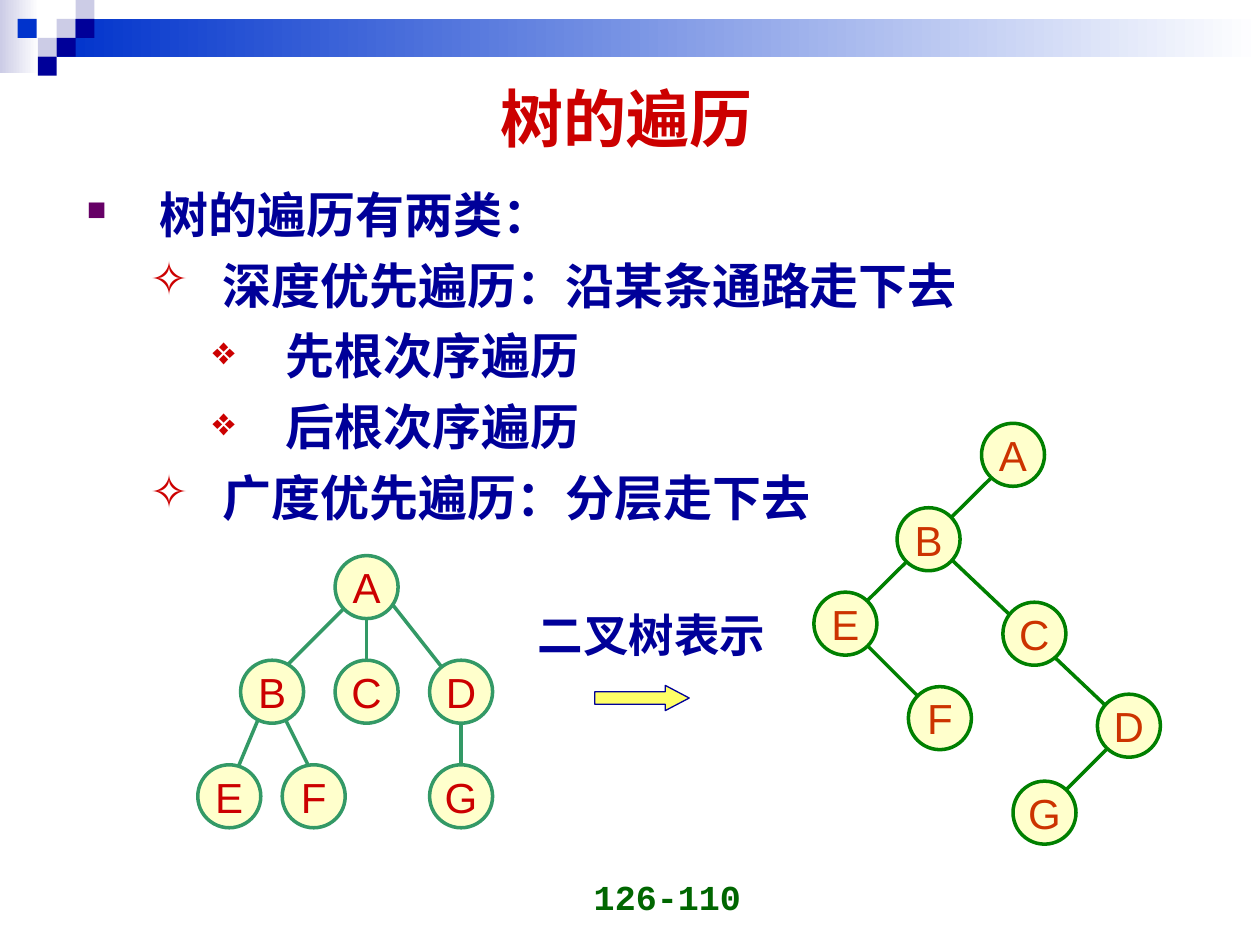
from lxml import etree
from pptx import Presentation
from pptx.dml.color import RGBColor
from pptx.enum import shapes, text
from pptx.oxml.ns import qn
from pptx.util import Inches, Pt

THEME = {
    "navy": "000099", "blue": "0033CC", "lilac": "CCCCE6", "white": "FFFFFF",
    "red": "CC0000", "purple": "660066", "page_green": "006600",
    "node": "FFFFCC", "arrow": "FFFF66",
    "sans": "Arial", "serif": "Times New Roman", "mono": "Courier New",
    "title": 36, "body": 28, "caption": 26, "label": 24, "page": 20,
}
NODE = 0.5
SQUARE = 0.15

# text, level, bullet, bullet colour, bullet size in percent
OUTLINE = [
    ("树的遍历有两类：", 0, "■", "purple", 55),
    ("深度优先遍历：沿某条通路走下去", 1, "✧", "red", 95),
    ("先根次序遍历", 2, "❖", "red", 80),
    ("后根次序遍历", 2, "❖", "red", 80),
    ("广度优先遍历：分层走下去", 1, "✧", "red", 95),
]
# left, top, colour
SQUARES = [
    (0.45, 0.15, "lilac"), (0.6, 0, "lilac"), (0.6, 0.15, "navy"),
    (0.3, 0.3, "lilac"), (0.14, 0.15, "blue"), (0.45, 0.3, "navy"),
    (0.3, 0.45, "navy"),
]
# nodes: left, top; edges: x1, y1, x2, y2
TREES = [
    {
        "line": "339966", "ink": "CC0000",
        "nodes": {"A": (2.66, 4.41), "B": (1.91, 5.24), "C": (2.66, 5.24),
                  "D": (3.41, 5.24), "E": (1.57, 6.07), "F": (2.24, 6.07),
                  "G": (3.41, 6.07)},
        "edges": [(2.74, 4.82, 2.24, 5.32), (2.91, 4.82, 2.91, 5.32),
                  (3.07, 4.74, 3.66, 5.49), (2.07, 5.66, 1.86, 6.16),
                  (2.24, 5.66, 2.49, 6.16), (3.66, 5.66, 3.66, 6.24)],
    },
    {
        "line": "008000", "ink": "CC3300",
        "nodes": {"A": (7.79, 3.36), "B": (7.12, 4.03), "C": (7.96, 4.78),
                  "D": (8.71, 5.51), "E": (6.46, 4.7), "F": (7.21, 5.45),
                  "G": (8.04, 6.2)},
        "edges": [(7.96, 3.7, 6.79, 4.86), (7.54, 4.43, 8.87, 5.69),
                  (6.79, 5.03, 7.29, 5.53), (8.87, 5.86, 8.37, 6.36)],
    },
]


def rgb(name):
    return RGBColor.from_string(THEME.get(name, name))


def set_font(para, face, size, color, bold=False):
    font = para.font
    font.name, font.size, font.bold = THEME[face], Pt(THEME[size]), bold
    font.color.rgb = rgb(color)


def add_shape(page, kind, frame, fill, line=None, width=1):
    shape = page.shapes.add_shape(kind, *map(Inches, frame))
    shape.shadow.inherit = False
    if isinstance(fill, tuple):
        shape.fill.gradient()
        shape.fill.gradient_angle = 0
        for stop, color in zip(shape.fill.gradient_stops, fill):
            stop.color.rgb = rgb(color)
    else:
        shape.fill.solid()
        shape.fill.fore_color.rgb = rgb(fill)
    if line:
        shape.line.color.rgb = rgb(line)
        shape.line.width = Pt(width)
    else:
        shape.line.fill.background()
    return shape


def add_text(page, frame, wording, align, *style):
    box = page.shapes.add_textbox(*map(Inches, frame))
    box.text_frame.word_wrap = True
    para = box.text_frame.paragraphs[0]
    para.text, para.alignment = wording, align
    set_font(para, *style)
    return box


def add_bullet(para, level, mark, color, percent):
    props = para._p.get_or_add_pPr()
    props.set("marL", str(Inches(0.58 + 0.5 * level)))
    props.set("indent", str(Inches(-0.58)))
    tint = etree.SubElement(props, qn("a:buClr"))
    etree.SubElement(tint, qn("a:srgbClr"), val=THEME[color])
    etree.SubElement(props, qn("a:buSzPct"), val=str(percent * 1000))
    etree.SubElement(props, qn("a:buChar"), char=mark)


def draw_banner(page):
    rect = shapes.MSO_SHAPE.RECTANGLE
    add_shape(page, rect, (0, 0, 0.31, 0.58), ("lilac", "white"))
    add_shape(page, rect, (0.45, 0.15, 9.55, 0.3), ("blue", "white"))
    for left, top, color in SQUARES:
        add_shape(page, rect, (left, top, SQUARE, SQUARE), color)


def draw_title(page):
    title = page.shapes.title
    title.left, title.top, title.width, title.height = map(
        Inches, (0.47, 0.44, 9, 0.98))
    frame = title.text_frame
    frame.text = "树的遍历"
    frame.auto_size = text.MSO_AUTO_SIZE.NONE
    frame.vertical_anchor = text.MSO_ANCHOR.MIDDLE
    frame.paragraphs[0].alignment = text.PP_ALIGN.CENTER
    set_font(frame.paragraphs[0], "serif", "title", "red", True)


def draw_outline(page):
    box = page.shapes.add_textbox(*map(Inches, (0.59, 1.39, 9, 6.02)))
    frame = box.text_frame
    frame.word_wrap = True
    for index, (wording, level, *bullet) in enumerate(OUTLINE):
        para = frame.add_paragraph() if index else frame.paragraphs[0]
        para.text, para.level, para.line_spacing = wording, level, 1.05
        if index:
            para.space_before = Pt(5.2)
        add_bullet(para, level, *bullet)
        set_font(para, "serif" if level else "sans", "body", "navy", True)


def draw_tree(page, tree):
    for ends in tree["edges"]:
        edge = page.shapes.add_connector(
            shapes.MSO_CONNECTOR.STRAIGHT, *map(Inches, ends))
        edge.line.color.rgb = rgb(tree["line"])
        edge.line.width = Pt(2)
        etree.SubElement(edge._element.spPr, qn("a:effectLst"))
    for letter, (left, top) in tree["nodes"].items():
        node = add_shape(page, shapes.MSO_SHAPE.OVAL, (left, top, NODE, NODE),
                         "node", tree["line"], 2)
        frame = node.text_frame
        frame.margin_left = frame.margin_right = 0
        frame.margin_top = frame.margin_bottom = 0
        frame.word_wrap = False
        frame.vertical_anchor = text.MSO_ANCHOR.MIDDLE
        frame.text = letter
        frame.paragraphs[0].alignment = text.PP_ALIGN.CENTER
        set_font(frame.paragraphs[0], "sans", "label", tree["ink"])


def main():
    deck = Presentation()
    deck.slide_width, deck.slide_height = Inches(10), Inches(7.5)
    page = deck.slides.add_slide(deck.slide_layouts[5])
    draw_banner(page)
    number = add_text(page, (3.65, 6.83, 2.33, 0.5), "126-110",
                      text.PP_ALIGN.RIGHT, "mono", "page", "page_green", True)
    number.text_frame.vertical_anchor = text.MSO_ANCHOR.BOTTOM
    draw_outline(page)
    draw_title(page)
    for tree in TREES:
        draw_tree(page, tree)
    arrow = add_shape(page, shapes.MSO_SHAPE.RIGHT_ARROW,
                      (4.72, 5.44, 0.75, 0.2), "arrow", "navy", 0.75)
    arrow.adjustments[0], arrow.adjustments[1] = 0.5, 0.95
    add_text(page, (4.17, 4.77, 2.32, 0.54), "二叉树表示",
             text.PP_ALIGN.LEFT, "serif", "caption", "navy", True)
    deck.save("out.pptx")


if __name__ == "__main__":
    main()
